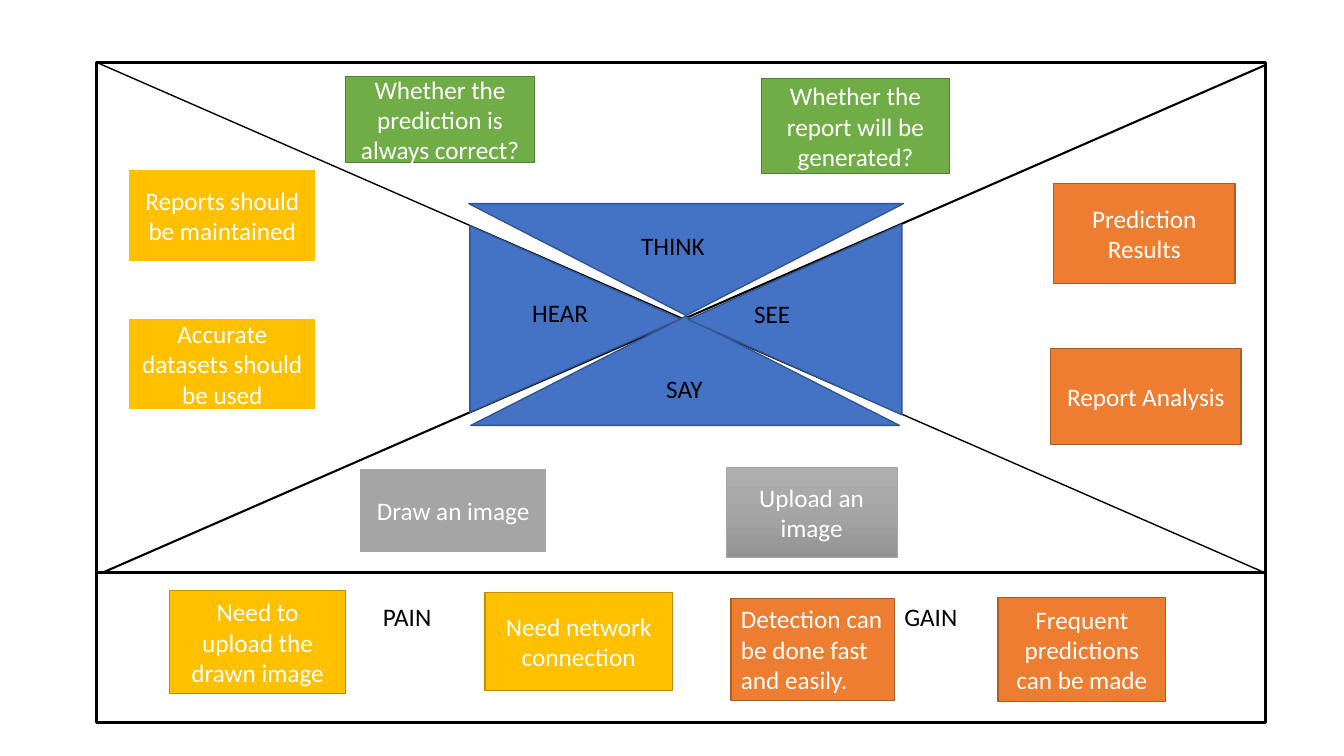
from copy import deepcopy
from typing import Any, NamedTuple

from pptx import Presentation
from pptx import util as u
from pptx.dml.color import RGBColor
from pptx.enum import shapes, text
from pptx.oxml import ns, xmlchemy
from pptx.slide import Slide

BLACK = RGBColor(0x00, 0x00, 0x00)
WHITE = RGBColor(0xFF, 0xFF, 0xFF)
BLUE = RGBColor(0x44, 0x72, 0xC4)
DARK_BLUE = RGBColor(0x32, 0x54, 0x91)
GOLD = RGBColor(0xFF, 0xC0, 0x00)
DARK_GOLD = RGBColor(0xBD, 0x8E, 0x00)
GREEN = RGBColor(0x70, 0xAD, 0x47)
DARK_GREEN = RGBColor(0x53, 0x80, 0x35)
ORANGE = RGBColor(0xED, 0x7D, 0x31)
DARK_ORANGE = RGBColor(0xAF, 0x5C, 0x24)
GREY = RGBColor(0xA5, 0xA5, 0xA5)
LIGHT_GREY = RGBColor(0xAF, 0xAF, 0xAF)
DARK_GREY = RGBColor(0x93, 0x93, 0x93)

RECTANGLE = shapes.MSO_SHAPE.RECTANGLE
TRIANGLE = shapes.MSO_SHAPE.ISOSCELES_TRIANGLE
LEFT, CENTER = text.PP_ALIGN.LEFT, text.PP_ALIGN.CENTER
TOP, MIDDLE = text.MSO_ANCHOR.TOP, text.MSO_ANCHOR.MIDDLE
FONT_FORMAT = {"name": "Calibri", "size": u.Pt(18)}


class Frame(NamedTuple):
    left: float
    top: float
    width: float
    height: float

    def lengths(self) -> list[u.Length]:
        return [u.Inches(value) for value in self]


class Style(NamedTuple):
    fill: RGBColor
    line: RGBColor
    weight: float


class Note(NamedTuple):
    frame: Frame
    style: Style
    words: str
    align: Any = CENTER
    anchor: Any = MIDDLE


class Wedge(NamedTuple):
    frame: Frame
    rotation: int


class Label(NamedTuple):
    frame: Frame
    words: str


class Diagonal(NamedTuple):
    start: tuple[float, float]
    end: tuple[float, float]
    weight: float


PANEL = Style(WHITE, BLACK, 2.25)
CENTRE = Style(BLUE, DARK_BLUE, 1)
HEAR = Style(GOLD, WHITE, 1.5)
THINK = Style(GREEN, DARK_GREEN, 1)
SEE = Style(ORANGE, DARK_ORANGE, 1)
SAY = Style(GREY, WHITE, 1.5)
SAY_SHADED = Style(GREY, GREY, 0.5)
PAIN = Style(GOLD, DARK_GOLD, 1)
GAIN = SEE

MAP_FRAME = Frame(0.96, 0.62, 11.59, 5.06)
OUTCOME_FRAME = Frame(0.96, 5.68, 11.59, 1.49)
DIAGONALS = [
    Diagonal((1.02, 5.68), (12.54, 0.65), 1.5),
    Diagonal((0.96, 0.62), (12.54, 5.68), 1),
]
WEDGES = [
    Wedge(Frame(4.78, 2.12, 1.85, 2.09), 90),
    Wedge(Frame(4.65, 2.02, 4.31, 1.11), 180),
    Wedge(Frame(4.67, 3.14, 4.25, 1.08), 0),
    Wedge(Frame(6.94, 2.11, 1.89, 2.12), 270),
]
LABELS = [
    Label(Frame(5.18, 2.9, 1.25, 0.4), "HEAR"),
    Label(Frame(6.26, 2.24, 1.12, 0.4), "THINK"),
    Label(Frame(7.38, 2.91, 1.31, 0.4), "SEE"),
    Label(Frame(6.51, 3.65, 0.94, 0.4), "SAY"),
    Label(Frame(3.7, 5.92, 1.22, 0.4), "PAIN"),
    Label(Frame(8.87, 5.92, 0.82, 0.4), "GAIN"),
]
NOTES = [
    Note(Frame(1.27, 1.68, 1.87, 0.92), HEAR, "Reports should be maintained"),
    Note(Frame(1.27, 3.15, 1.87, 0.92), HEAR, "Accurate datasets should be used"),
    Note(Frame(3.43, 0.76, 1.87, 0.85), THINK, "Whether the prediction is always correct?"),
    Note(Frame(7.55, 0.78, 1.87, 0.94), THINK, "Whether the report will be generated?"),
    Note(Frame(10.45, 1.82, 1.8, 0.99), SEE, "Prediction\nResults"),
    Note(Frame(10.42, 3.46, 1.89, 0.95), SEE, "Report Analysis"),
    Note(Frame(3.56, 4.64, 1.87, 0.85), SAY, "Draw an image"),
    Note(Frame(7.2, 4.64, 1.7, 0.89), SAY_SHADED, "Upload an image"),
    Note(Frame(1.68, 5.86, 1.75, 1.02), PAIN, "Need to upload the drawn image"),
    Note(Frame(4.81, 5.88, 1.86, 0.97), PAIN, "Need network connection"),
    Note(Frame(7.25, 5.94, 1.62, 1.01), GAIN, "Detection can be done fast and easily.", LEFT, TOP),
    Note(Frame(9.9, 5.93, 1.66, 1.03), GAIN, "Frequent predictions can be made"),
]


def write(box: Any, words: str, color: RGBColor, align: Any, anchor: Any) -> None:
    frame = box.text_frame
    frame.word_wrap = True
    frame.vertical_anchor = anchor
    frame.text = words
    for para in frame.paragraphs:
        para.alignment = align
        for span in para.runs:
            for name, value in FONT_FORMAT.items():
                setattr(span.font, name, value)
            span.font.color.rgb = color


def add_box(page: Slide, kind: Any, frame: Frame, style: Style) -> Any:
    box = page.shapes.add_shape(kind, *frame.lengths())
    box.shadow.inherit = False
    box.fill.solid()
    box.fill.fore_color.rgb = style.fill
    box.line.color.rgb = style.line
    box.line.width = u.Pt(style.weight)
    return box


def shade(box: Any) -> None:
    box.fill.gradient()
    box.fill.gradient_angle = 270
    first, last = box.fill.gradient_stops
    first.color.rgb, first.position = GREY, 0.5
    last.color.rgb, last.position = DARK_GREY, 1
    middle = box._element.spPr.find(".//" + ns.qn("a:gs"))
    middle.addprevious(deepcopy(middle))
    start = box.fill.gradient_stops[0]
    start.color.rgb, start.position = LIGHT_GREY, 0


def add_diagonal(page: Slide, diagonal: Diagonal) -> None:
    ends = [u.Inches(value) for value in diagonal.start + diagonal.end]
    line = page.shapes.add_connector(shapes.MSO_CONNECTOR.STRAIGHT, *ends)
    line.line.color.rgb = BLACK
    line.line.width = u.Pt(diagonal.weight)
    line._element.spPr.append(xmlchemy.OxmlElement("a:effectLst"))


def add_wedge(page: Slide, wedge: Wedge) -> None:
    add_box(page, TRIANGLE, wedge.frame, CENTRE).rotation = wedge.rotation


def add_label(page: Slide, label: Label) -> None:
    box = page.shapes.add_textbox(*label.frame.lengths())
    write(box, label.words, BLACK, LEFT, TOP)


def add_note(page: Slide, note: Note) -> None:
    box = add_box(page, RECTANGLE, note.frame, note.style)
    if note.style is SAY_SHADED:
        shade(box)
    write(box, note.words, WHITE, note.align, note.anchor)


deck = Presentation()
deck.slide_width, deck.slide_height = u.Inches(13.33), u.Inches(7.5)
page = deck.slides.add_slide(deck.slide_layouts[6])

add_box(page, RECTANGLE, MAP_FRAME, PANEL)
for diagonal in DIAGONALS:
    add_diagonal(page, diagonal)
add_box(page, RECTANGLE, OUTCOME_FRAME, PANEL)
for wedge in WEDGES:
    add_wedge(page, wedge)
for label in LABELS:
    add_label(page, label)
for note in NOTES:
    add_note(page, note)

deck.save("out.pptx")
